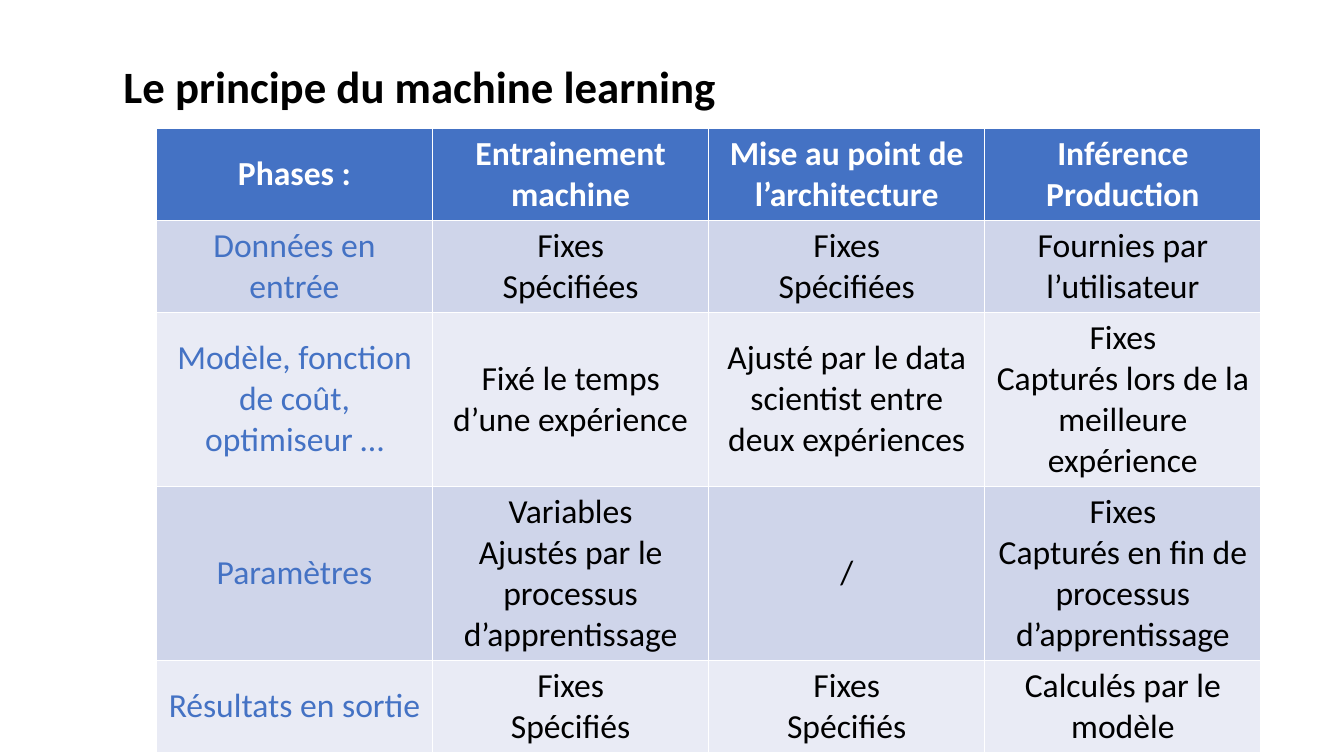
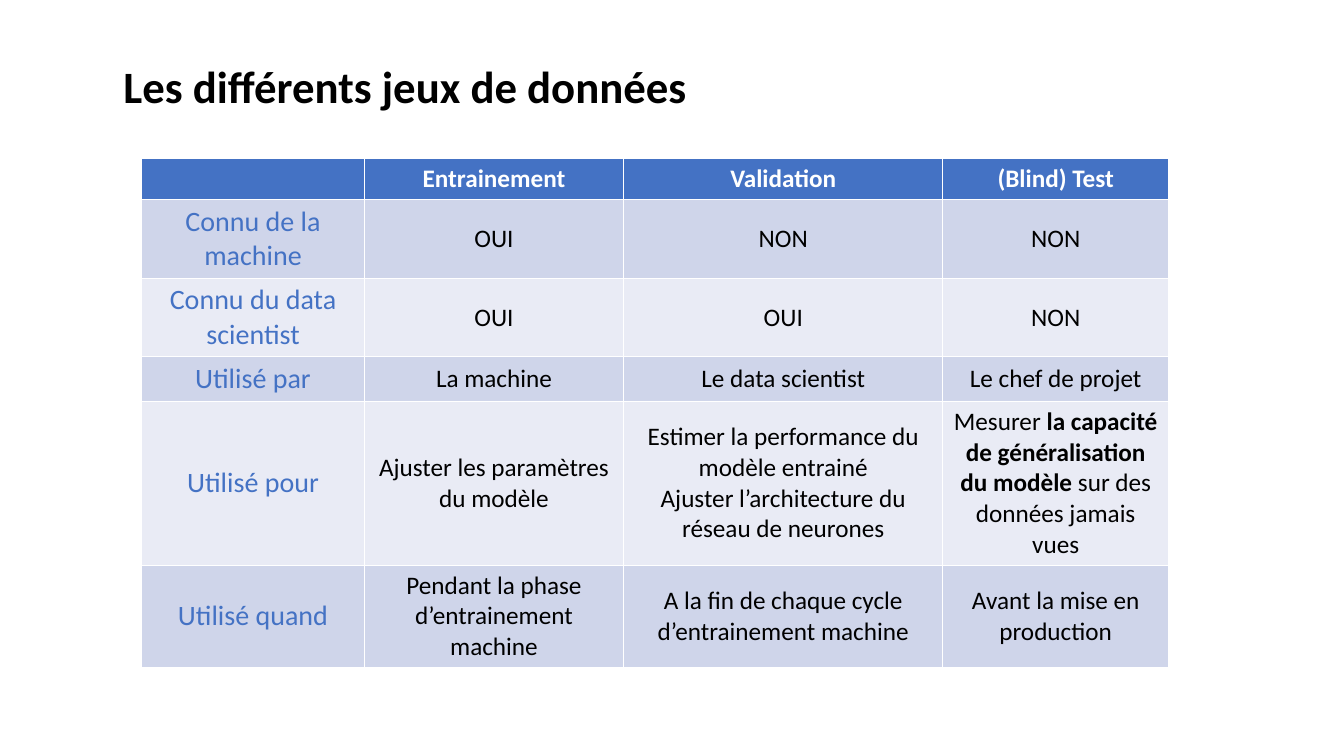
from pptx import Presentation
from pptx.dml.color import RGBColor
from pptx.enum.text import MSO_ANCHOR, MSO_AUTO_SIZE, PP_ALIGN
from pptx.util import Emu, Pt

LEFT, CENTER = PP_ALIGN.LEFT, PP_ALIGN.CENTER
MIDDLE = MSO_ANCHOR.MIDDLE
NO_AUTOFIT = MSO_AUTO_SIZE.NONE

EMU_PER_PX = 9525
TITLE_ONLY = 5
FONT = "Calibri"
COLORS = {
    "text": "000000",
    "header_text": "FFFFFF",
    "accent": "4472C4",
    "band_dark": "CFD5EA",
    "band_light": "E9EBF5",
}


def px(length):
    return Emu(length * EMU_PER_PX)


class Deck:
    """Holds the shared style and the current slide."""

    def __init__(self):
        self.presentation = Presentation()
        self.presentation.slide_width = px(1280)
        self.presentation.slide_height = px(720)
        self.slide = None

    def add_slide(self, title):
        layout = self.presentation.slide_layouts[TITLE_ONLY]
        self.slide = self.presentation.slides.add_slide(layout)
        self.add_title(title)

    def style(self, paragraph, size, color, bold=False, alignment=CENTER):
        paragraph.alignment = alignment
        font = paragraph.font
        font.name, font.size, font.bold = FONT, Pt(size), bold
        font.color.rgb = RGBColor.from_string(COLORS[color])

    def add_title(self, text):
        shape = self.slide.shapes.title
        shape.left, shape.top = px(108), px(51)
        shape.width, shape.height = px(1064), px(61)
        frame = shape.text_frame
        frame.text = text
        frame.auto_size = NO_AUTOFIT
        frame.vertical_anchor = MIDDLE
        self.style(frame.paragraphs[0], 32, "text", True, LEFT)

    def add_table(self, left, top, widths, heights, rows, size, label_size):
        """The first row is the header, the first column the labels."""
        table = self.slide.shapes.add_table(
            len(heights), len(widths), px(left), px(top),
            px(sum(widths)), px(sum(heights))).table
        for column, width in zip(table.columns, widths):
            column.width = px(width)
        for row, height in zip(table.rows, heights):
            row.height = px(height)
        for i, texts in enumerate(rows):
            band = "band_dark" if i % 2 else "band_light"
            for j, text in enumerate(texts):
                cell = table.cell(i, j)
                if i == 0:
                    self.fill_cell(cell, text, "accent", size, "header_text", True)
                elif j == 0:
                    self.fill_cell(cell, text, band, label_size, "accent")
                else:
                    self.fill_cell(cell, text, band, size, "text")

    def fill_cell(self, cell, text, fill, size, color, bold=False):
        """Newlines part paragraphs; ** marks bold passages."""
        cell.fill.solid()
        cell.fill.fore_color.rgb = RGBColor.from_string(COLORS[fill])
        cell.vertical_anchor = MIDDLE
        frame = cell.text_frame
        for i, line in enumerate(text.split("\n")):
            paragraph = frame.add_paragraph() if i else frame.paragraphs[0]
            self.style(paragraph, size, color, bold)
            for k, part in enumerate(line.split("**")):
                if part:
                    run = paragraph.add_run()
                    run.text = part
                    if k % 2:
                        run.font.bold = True

    def save(self):
        self.presentation.save("out.pptx")


PHASES = [
    ["Phases :", "Entrainement\nmachine", "Mise au point de l’architecture",
     "Inférence\nProduction"],
    ["Données en entrée", "Fixes\nSpécifiées", "Fixes\nSpécifiées",
     "Fournies par l’utilisateur"],
    ["Modèle, fonction de coût, optimiseur …", "Fixé le temps d’une expérience",
     "Ajusté par le data scientist entre deux expériences",
     "Fixes\nCapturés lors de la meilleure expérience"],
    ["Paramètres", "Variables\nAjustés par le processus d’apprentissage", "/",
     "Fixes\nCapturés en fin de processus d’apprentissage"],
    ["Résultats en sortie", "Fixes\nSpécifiés", "Fixes\nSpécifiés",
     "Calculés par le modèle"],
]

DATASETS = [
    ["", "Entrainement", "Validation", "(Blind) Test"],
    ["Connu de la machine", "OUI", "NON", "NON"],
    ["Connu du data scientist", "OUI", "OUI", "NON"],
    ["Utilisé par", "La machine", "Le data scientist", "Le chef de projet"],
    ["Utilisé pour", "Ajuster les paramètres du modèle",
     "Estimer la performance du modèle entrainé\n"
     "Ajuster l’architecture du réseau de neurones",
     "Mesurer **la capacité de généralisation du modèle **"
     "sur des données jamais vues"],
    ["Utilisé quand", "Pendant la phase d’entrainement machine",
     "A la fin de chaque cycle d’entrainement machine",
     "Avant la mise en production"],
]


def main():
    deck = Deck()

    # Phases of machine learning
    deck.add_slide("Le principe du machine learning")
    deck.add_table(149, 122, [263] * 4, [86, 86, 164, 164, 86], PHASES,
                   size=24, label_size=24)

    # Comparison of the datasets
    deck.add_slide("Les différents jeux de données")
    deck.add_table(135, 151, [212, 247, 304, 215], [39, 73, 73, 42, 154, 96],
                   DATASETS, size=18, label_size=20)

    deck.save()


if __name__ == "__main__":
    main()
